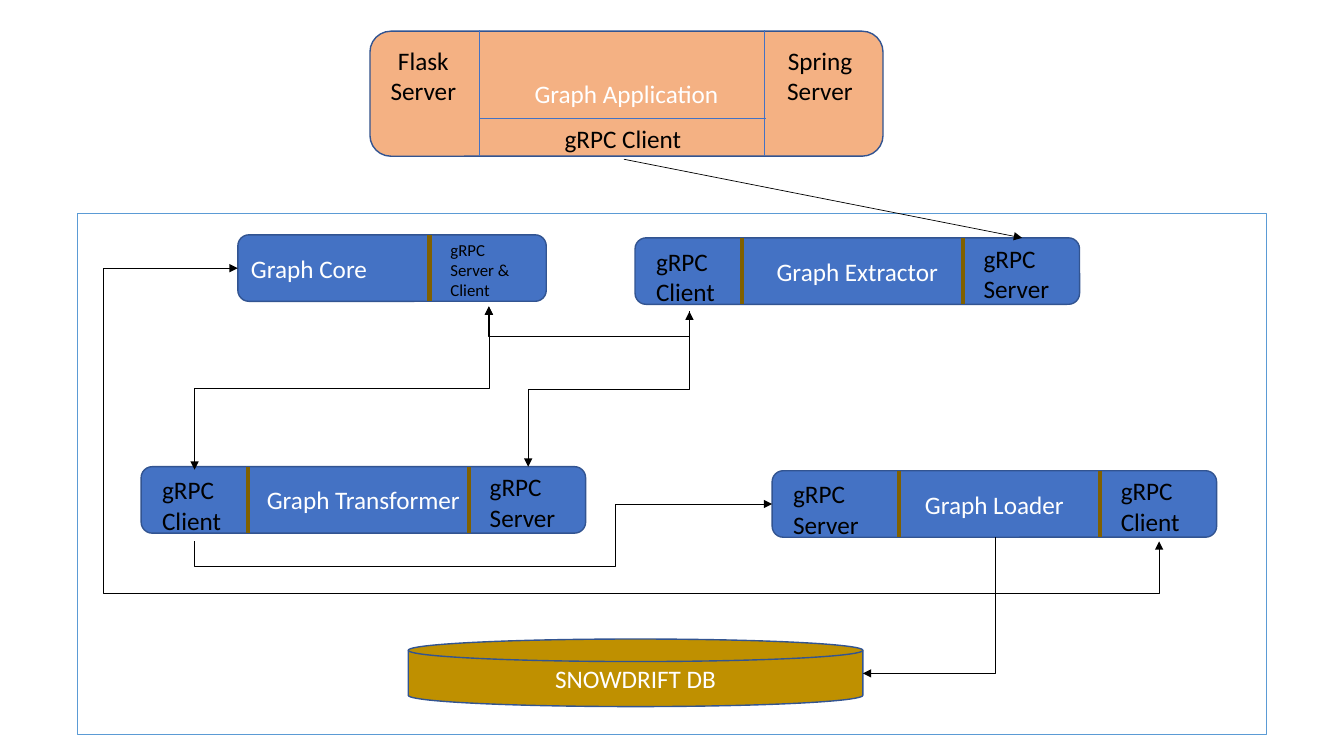
from lxml import etree
from pptx import Presentation
from pptx import util as u
from pptx.dml.color import RGBColor
from pptx.enum import shapes, text
from pptx.oxml.ns import qn

# Grid: one column or row is a tenth of an inch
CELL = u.Inches(0.1)
COLUMNS, ROWS = 133.33, 75

BLACK = RGBColor(0x00, 0x00, 0x00)
WHITE = RGBColor(0xFF, 0xFF, 0xFF)
BLUE = RGBColor(0x44, 0x72, 0xC4)
NAVY = RGBColor(0x32, 0x54, 0x91)
SKY = RGBColor(0x5B, 0x9B, 0xD5)
PEACH = RGBColor(0xF4, 0xB1, 0x83)
GOLD = RGBColor(0xBF, 0x90, 0x00)
OLIVE = RGBColor(0x80, 0x60, 0x00)

FONT = "Calibri"
LEFT, CENTER = text.PP_ALIGN.LEFT, text.PP_ALIGN.CENTER
SERVICE_HEIGHT = 6.6
LABEL_GAP = 1.1


def grid(*cells):
    return [round(cell * CELL) for cell in cells]


def write(frame, words, size, color, align):
    frame.word_wrap = True
    para = frame.paragraphs[0]
    para.text = words
    para.alignment = align
    para.font.name = FONT
    para.font.size = u.Pt(size)
    para.font.color.rgb = color


def add_block(page, kind, place, fill, words="", align=CENTER, line=NAVY, weight=1):
    block = page.shapes.add_shape(kind, *grid(*place))
    block.shadow.inherit = False
    if fill is None:
        block.fill.background()
    else:
        block.fill.solid()
        block.fill.fore_color.rgb = fill
    block.line.color.rgb = line
    block.line.width = u.Pt(weight)
    if words:
        block.text_frame.vertical_anchor = text.MSO_ANCHOR.MIDDLE
        write(block.text_frame, words, 18, WHITE, align)


def add_label(page, left, top, width, words, size=18, align=LEFT, height=7.1):
    box = page.shapes.add_textbox(*grid(left, top, width, height))
    write(box.text_frame, words, size, BLACK, align)
    box.text_frame.auto_size = text.MSO_AUTO_SIZE.SHAPE_TO_FIT_TEXT


def style_line(line, color, weight, heads=()):
    line.line.color.rgb = color
    line.line.width = u.Pt(weight)
    properties = line._element.spPr
    for head in heads:
        etree.SubElement(properties.find(qn("a:ln")), qn(f"a:{head}"), type="triangle")
    etree.SubElement(properties, qn("a:effectLst"))


def add_line(page, start, end, color, weight, heads=()):
    line = page.shapes.add_connector(shapes.MSO_CONNECTOR.STRAIGHT, *grid(*start, *end))
    style_line(line, color, weight, heads)


def add_elbow(page, start, end, lane_y=None, lane_x=None, both=False):
    """Arrow that leaves vertically, then follows the given lanes."""
    (x1, y1), (x2, y2) = start, end
    dx, dy = x2 - x1, y2 - y1
    # A quarter turn swaps width and height around the centre
    middle_x, middle_y = (x1 + x2) / 2, (y1 + y2) / 2
    half_w, half_h = abs(dy) / 2, abs(dx) / 2
    line = page.shapes.add_connector(
        shapes.MSO_CONNECTOR.ELBOW,
        *grid(middle_x - half_w, middle_y - half_h, middle_x + half_w, middle_y + half_h))
    xfrm = line._element.spPr.find(qn("a:xfrm"))
    xfrm.set("rot", "5400000")
    if dy < 0:
        xfrm.set("flipH", "1")
    if dx > 0:
        xfrm.set("flipV", "1")

    # Lanes become shares of the vertical and horizontal run
    shares = []
    if lane_y is not None:
        shares.append((lane_y - y1) / dy)
    if lane_x is not None:
        shares.append((lane_x - x1) / dx)
    geometry = line._element.spPr.find(qn("a:prstGeom"))
    geometry.set("prst", f"bentConnector{2 + len(shares)}")
    for number, share in enumerate(shares, 1):
        etree.SubElement(geometry.find(qn("a:avLst")), qn("a:gd"),
                         name=f"adj{number}", fmla=f"val {round(share * 100000)}")
    style_line(line, BLACK, 0.5, ("headEnd", "tailEnd") if both else ("tailEnd",))


def add_service(page, left, top, width, name, dividers, right, first=None,
                size=18, align=CENTER):
    add_block(page, shapes.MSO_SHAPE.ROUNDED_RECTANGLE,
              (left, top, width, SERVICE_HEIGHT), BLUE, name, align)
    for offset in dividers:
        x = left + offset
        add_line(page, (x, top), (x, top + SERVICE_HEIGHT), OLIVE, 3)
    add_label(page, left + dividers[-1] + LABEL_GAP, top, 9.5, right, size)
    if first:
        add_label(page, left + LABEL_GAP, top + 0.3, 9, first)


def add_application(page):
    add_block(page, shapes.MSO_SHAPE.ROUNDED_RECTANGLE, (36.7, 3.1, 50.9, 12.4),
              PEACH, "Graph Application")
    for x in (47.6, 75.8):
        add_line(page, (x, 3), (x, 15.5), BLUE, 0.5)
    add_line(page, (47.6, 11.7), (76, 11.7), BLUE, 0.5)
    add_label(page, 36.7, 4, 10.6, "Flask Server", align=CENTER)
    add_label(page, 76, 4, 10.7, "Spring Server", align=CENTER)
    add_label(page, 50.3, 11.7, 23, "gRPC Client", align=CENTER, height=4)


def main():
    deck = Presentation()
    deck.slide_width, deck.slide_height = grid(COLUMNS, ROWS)
    page = deck.slides.add_slide(deck.slide_layouts[6])

    # Frame, database and application
    add_block(page, shapes.MSO_SHAPE.RECTANGLE, (7.7, 21.2, 117.9, 51.7), None,
              line=SKY, weight=0.75)
    add_block(page, shapes.MSO_SHAPE.FLOWCHART_MAGNETIC_DISK, (40.5, 63.4, 45.1, 6.7),
              GOLD, "SNOWDRIFT DB")
    add_application(page)

    # Services
    client, server = "gRPC Client", "gRPC Server"
    add_service(page, 63, 23.6, 44.1, "Graph Extractor", (10.6, 32.5), server, client)
    add_service(page, 23.6, 23.3, 30.6, "Graph Core", (19,), "gRPC Server & Client",
                size=12, align=LEFT)
    add_service(page, 14, 46.3, 44.1, "Graph Transformer", (10.6, 32.5), server, client)
    add_service(page, 76.6, 46.7, 44.1, "Graph Loader", (12.6, 32.5), client, server)

    # Calls between the services
    extractor_client, core_server = (68.4, 30.9), (48.5, 30.4)
    add_line(page, (61.9, 15.8), (101.4, 23.6), BLACK, 0.5, ("tailEnd",))
    add_elbow(page, extractor_client, (52.4, 46.3), lane_y=38.6)
    add_elbow(page, extractor_client, core_server, lane_y=33.4, both=True)
    add_elbow(page, (19.3, 46.6), core_server, lane_y=38.5, both=True)
    add_elbow(page, (19.3, 53.7), (76.6, 50), lane_y=56.2, lane_x=61.1)
    add_elbow(page, (115, 53.7), (23.6, 26.6), lane_y=58.9, lane_x=10.3, both=True)
    add_elbow(page, (98.7, 53.3), (85.6, 66.8))

    deck.save("out.pptx")


if __name__ == "__main__":
    main()
